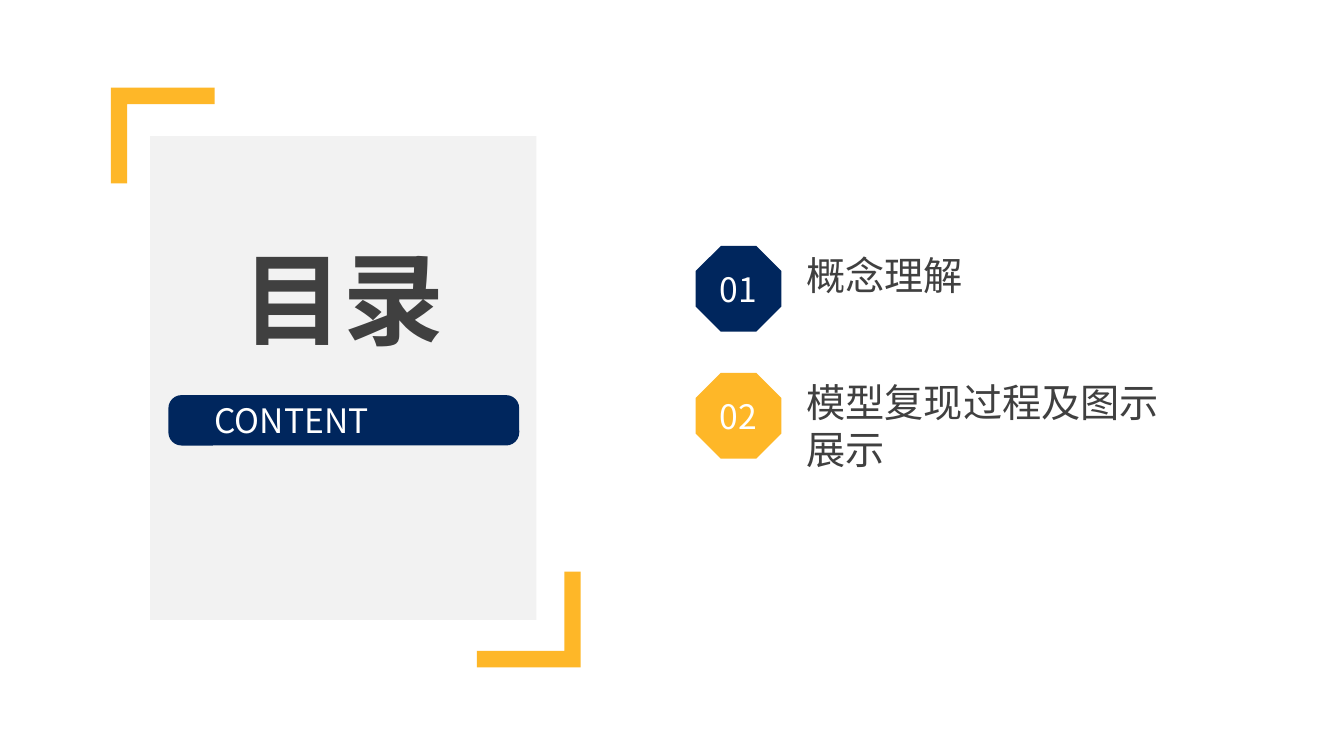
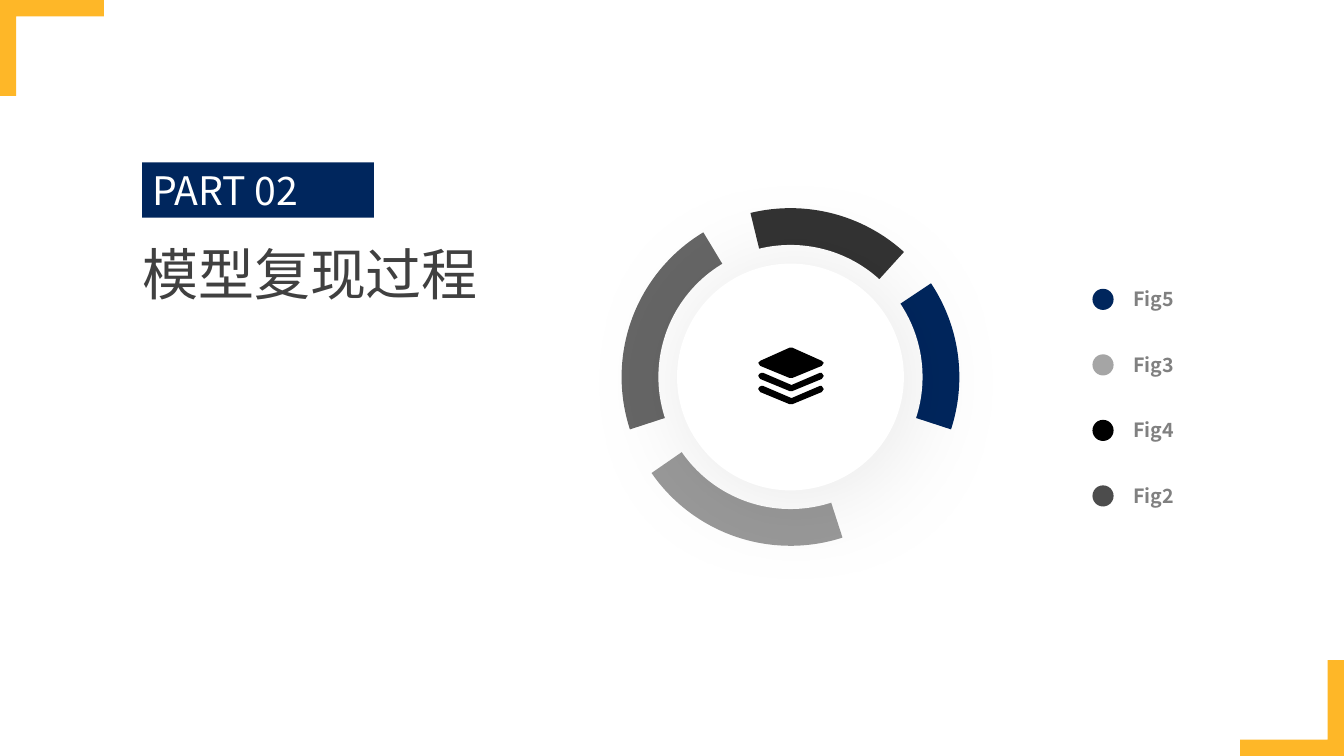
import dataclasses
import typing

import lxml.etree
import pptx
import pptx.dml.color
import pptx.enum.shapes
import pptx.enum.text
import pptx.oxml.ns
import pptx.util

Inches = pptx.util.Inches
Pt = pptx.util.Pt
SHAPE = pptx.enum.shapes.MSO_SHAPE
ALIGN = pptx.enum.text.PP_ALIGN
ANCHOR = pptx.enum.text.MSO_ANCHOR

FONT = "Noto Sans CJK SC"
NAVY = "00265D"
AMBER = "FEB728"
WHITE = "FFFFFF"
BLACK = "000000"
PANEL = "F2F2F2"
INK = "404040"
LEGEND_INK = "808080"
SILVER = "A5A5A5"

SLIDE_WIDTH, SLIDE_HEIGHT = 13.33, 7.5
BRACKET_WIDTH, BRACKET_HEIGHT = 1.03, 0.95
RING_CENTER_X, RING_CENTER_Y = 7.84, 3.74


@dataclasses.dataclass(frozen=True)
class Chapter:
    number: str
    title: str
    color: str
    title_height: float


@dataclasses.dataclass(frozen=True)
class RingSegment:
    start: float
    end: float
    color: str
    opacity: int = 100
    rotation: float = 0


@dataclasses.dataclass(frozen=True)
class LegendEntry:
    label: str
    color: str
    opacity: int = 100


CHAPTERS = [
    Chapter("01", "概念理解", NAVY, 0.57),
    Chapter("02", "模型复现过程及图示展示", AMBER, 1.04),
]
RING_SEGMENTS = [
    RingSegment(255.31, 307.09, NAVY, rotation=71),
    RingSegment(161.91, 238.94, BLACK, 60),
    RingSegment(72.05, 145.33, BLACK, 40),
    RingSegment(256.29, 312.23, BLACK, 80),
]
LEGEND = [
    LegendEntry("Fig5", NAVY),
    LegendEntry("Fig3", SILVER),
    LegendEntry("Fig4", BLACK),
    LegendEntry("Fig2", BLACK, 70),
]


def rgb(color: str) -> pptx.dml.color.RGBColor:
    return pptx.dml.color.RGBColor.from_string(color)


def add_child(parent: typing.Any, tag: str, **attributes: typing.Any) -> typing.Any:
    values = {key: str(value) for key, value in attributes.items()}
    return lxml.etree.SubElement(parent, pptx.oxml.ns.qn(tag), values)


def paint(shape: typing.Any, color: str, opacity: int = 100) -> None:
    shape.shadow.inherit = False
    shape.fill.solid()
    shape.fill.fore_color.rgb = rgb(color)
    shape.line.fill.background()
    if opacity < 100:
        fill = shape._element.spPr.find(pptx.oxml.ns.qn("a:solidFill"))
        add_child(fill[0], "a:alpha", val=opacity * 1000)


def add_block(slide: typing.Any, kind: typing.Any, left: float, top: float,
              width: float, height: float, color: str, opacity: int = 100,
              adjustments: typing.Sequence[float] = (), rotation: float = 0) -> typing.Any:
    block = slide.shapes.add_shape(
        kind, Inches(left), Inches(top), Inches(width), Inches(height))
    for index, value in enumerate(adjustments):
        block.adjustments[index] = value
    block.rotation = rotation
    paint(block, color, opacity)
    return block


def add_circle(slide: typing.Any, center_x: float, center_y: float,
               diameter: float, color: str, opacity: int = 100) -> typing.Any:
    return add_block(slide, SHAPE.OVAL, center_x - diameter / 2,
                     center_y - diameter / 2, diameter, diameter, color, opacity)


def write(holder: typing.Any, text: str, *, size: float, color: str,
          bold: bool = False, align: typing.Any = ALIGN.LEFT,
          anchor: typing.Any = ANCHOR.TOP) -> None:
    frame = holder.text_frame
    frame.word_wrap = True
    frame.vertical_anchor = anchor
    paragraph = frame.paragraphs[0]
    paragraph.alignment = align
    run = paragraph.add_run()
    run.text = text
    run.font.size = Pt(size)
    run.font.bold = bold
    run.font.color.rgb = rgb(color)
    run.font.name = FONT
    add_child(run._r.get_or_add_rPr(), "a:ea", typeface=FONT)


def add_text(slide: typing.Any, text: str, left: float, top: float, width: float,
             height: float, *, inset: bool = True, **style: typing.Any) -> None:
    box = slide.shapes.add_textbox(
        Inches(left), Inches(top), Inches(width), Inches(height))
    frame = box.text_frame
    frame.auto_size = pptx.enum.text.MSO_AUTO_SIZE.SHAPE_TO_FIT_TEXT
    if not inset:
        frame.margin_left = frame.margin_right = 0
        frame.margin_top = frame.margin_bottom = 0
    write(box, text, **style)


def add_brackets(slide: typing.Any, left: float, top: float,
                 right: float, bottom: float) -> None:
    places = [(right - BRACKET_WIDTH, bottom - BRACKET_HEIGHT, 0), (left, top, 180)]
    for x, y, rotation in places:
        bracket = add_block(slide, SHAPE.CORNER, x, y, BRACKET_WIDTH, BRACKET_HEIGHT,
                            AMBER, adjustments=(0.17, 0.17), rotation=rotation)
        bracket._element.spPr.find(pptx.oxml.ns.qn("a:xfrm")).set("flipH", "1")


def add_soft_shadow(shape: typing.Any) -> None:
    effects = shape._element.spPr.find(pptx.oxml.ns.qn("a:effectLst"))
    shadow = add_child(effects, "a:outerShdw", blurRad=Pt(77), dist=Pt(5),
                       dir=45 * 60000, algn="ctr", rotWithShape=0)
    add_child(add_child(shadow, "a:srgbClr", val=BLACK), "a:alpha", val=10000)


def add_layers_icon(slide: typing.Any) -> None:
    top_sheet = [(752, 360), (754, 358), (783, 345), (786, 345),
                 (815, 358), (817, 360), (815, 363), (786, 375),
                 (783, 375), (754, 363)]
    edge = [(755, 0), (757, 0), (785, 12), (813, 0), (815, 0), (817, 3),
            (815, 6), (786, 18), (783, 18), (754, 6), (752, 3), (753, 1)]
    edges = [[(x, y + top) for x, y in edge] for top in (370, 383)]
    builder = slide.shapes.build_freeform(*top_sheet[0], scale=Inches(0.01))
    builder.add_line_segments(top_sheet[1:], close=True)
    for outline in edges:
        builder.move_to(*outline[0])
        builder.add_line_segments(outline[1:], close=True)
    paint(builder.convert_to_shape(), BLACK)


def add_ring(slide: typing.Any) -> None:
    diameter = 3.35
    for segment in RING_SEGMENTS:
        angles = [angle * 0.6 for angle in (segment.start, segment.end)]
        add_block(slide, SHAPE.PIE, RING_CENTER_X - diameter / 2,
                  RING_CENTER_Y - diameter / 2, diameter, diameter,
                  segment.color, segment.opacity, angles, segment.rotation)
    add_circle(slide, RING_CENTER_X, RING_CENTER_Y, 2.62, WHITE)
    hub = add_circle(slide, RING_CENTER_X, RING_CENTER_Y, 2.25, WHITE)
    add_soft_shadow(hub)
    add_layers_icon(slide)


def add_legend(slide: typing.Any) -> None:
    for index, entry in enumerate(LEGEND):
        middle = 2.97 + index * 0.65
        add_circle(slide, 10.94, middle, 0.21, entry.color, entry.opacity)
        add_text(slide, entry.label, 11.14, middle - 0.17, 1.54, 0.34,
                 size=14, color=LEGEND_INK, bold=True)


def build_contents(slide: typing.Any) -> None:
    add_brackets(slide, 1.1, 0.87, 5.76, 6.62)
    add_block(slide, SHAPE.RECTANGLE, 1.49, 1.35, 3.83, 4.8, PANEL)
    add_block(slide, SHAPE.ROUNDED_RECTANGLE, 1.67, 3.92, 3.48, 0.5, NAVY,
              adjustments=(0.26,))
    add_text(slide, "目录", 2.03, 2.3, 2.76, 1.31, size=72, color=INK,
             bold=True, align=ALIGN.CENTER)
    add_text(slide, "CONTENT", 2.03, 3.92, 2.76, 0.5, size=24, color=WHITE,
             align=ALIGN.JUSTIFY)
    for index, chapter in enumerate(CHAPTERS):
        top = 2.44 + index * 1.26
        badge = add_block(slide, SHAPE.OCTAGON, 6.9, top, 0.85, 0.85, chapter.color)
        write(badge, chapter.number, size=24, color=WHITE,
              align=ALIGN.CENTER, anchor=ANCHOR.MIDDLE)
        add_text(slide, chapter.title, 7.9, top, 3.96, chapter.title_height,
                 size=28, color=INK)


def build_part(slide: typing.Any) -> None:
    add_brackets(slide, 0, 0, SLIDE_WIDTH, SLIDE_HEIGHT)
    add_ring(slide)
    add_legend(slide)
    part_label = add_block(slide, SHAPE.RECTANGLE, 1.41, 1.61, 2.3, 0.55, NAVY)
    write(part_label, "PART 02", size=28, color=WHITE, anchor=ANCHOR.MIDDLE)
    add_text(slide, "模型复现过程", 1.41, 2.38, 5.31, 1.35, inset=False,
             size=40, color=INK)


def main() -> None:
    deck = pptx.Presentation()
    deck.slide_width = Inches(SLIDE_WIDTH)
    deck.slide_height = Inches(SLIDE_HEIGHT)
    for build in (build_contents, build_part):
        build(deck.slides.add_slide(deck.slide_layouts[6]))
    deck.save("out.pptx")


if __name__ == "__main__":
    main()
